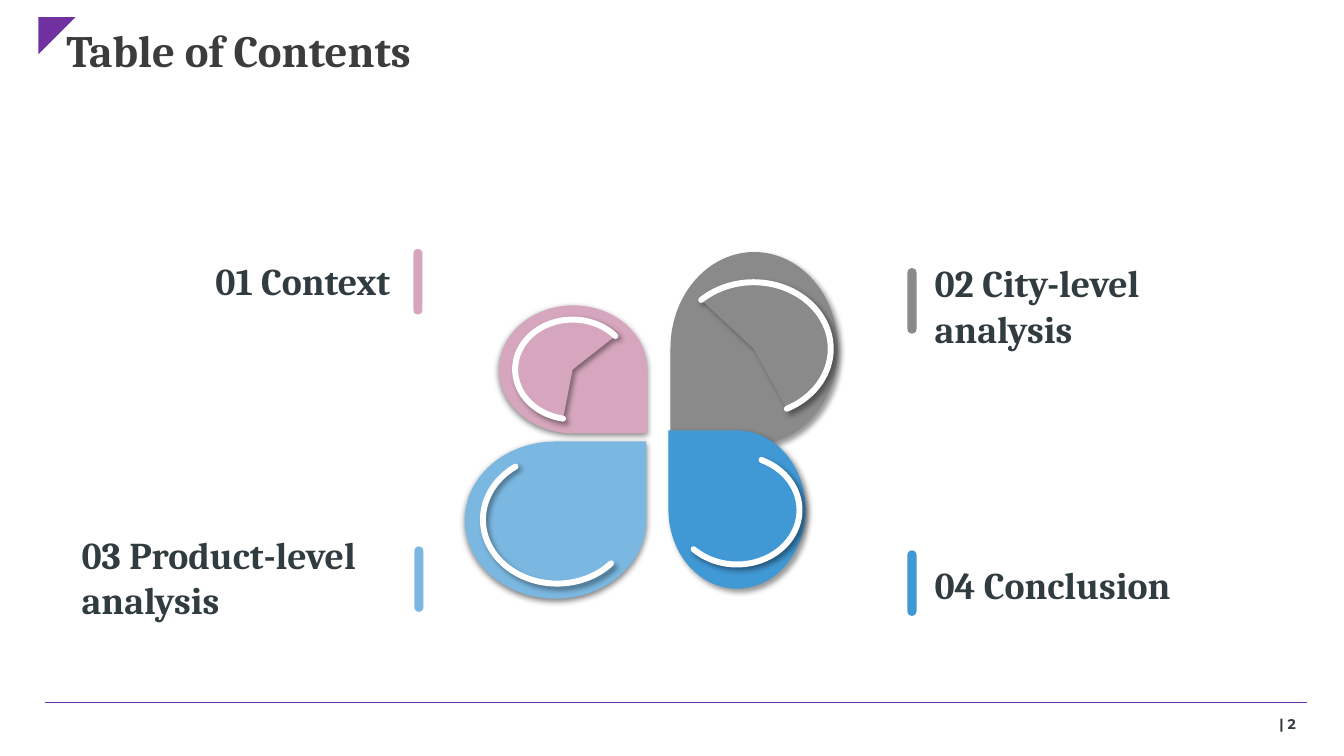
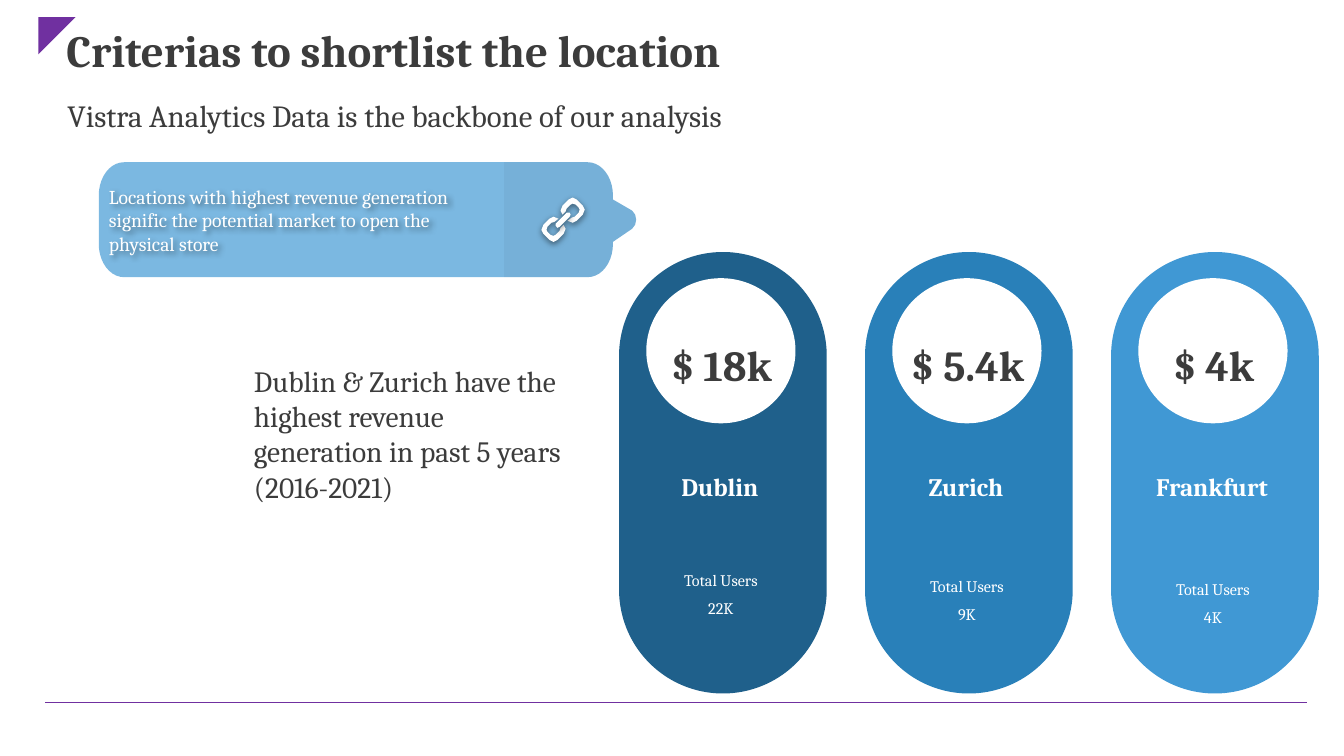
import math

from pptx import Presentation
from pptx import util as u
from pptx.dml.color import RGBColor
from pptx.enum import shapes, text
from pptx.oxml.ns import qn
from lxml import etree

PX = 9144  # 100 px to the inch
PURPLE, INK, SLATE, WHITE = "7030A0", "3C3C3C", "313C41", "FFFFFF"
PINK, GREY, SKY, BLUE = "D5A6BD", "8A8A8A", "7BB8E1", "4098D4"
SOFT = (40, 4, 3, 45)  # shadow: opacity %, blur pt, distance pt, angle
BELOW = (50, 4.5, 1.5, 90)
G = shapes.MSO_SHAPE
LEFT, CENTER, RIGHT = text.PP_ALIGN.LEFT, text.PP_ALIGN.CENTER, text.PP_ALIGN.RIGHT
TOP, MIDDLE, BOTTOM = text.MSO_ANCHOR.TOP, text.MSO_ANCHOR.MIDDLE, text.MSO_ANCHOR.BOTTOM


def color(value):
    return RGBColor.from_string(value)


def px(*values):
    return [round(v * PX) for v in values]


class Deck:
    def __init__(self):
        self.prs = Presentation()
        self.prs.slide_width, self.prs.slide_height = px(1333, 750)
        self.s = None

    def slide(self, title):
        """Start a slide with the corner mark, the footer rule and a title."""
        self.s = self.prs.slides.add_slide(self.prs.slide_layouts[6])
        self.shape(G.RIGHT_TRIANGLE, 38, 17, 37, 37, PURPLE, rotation=90)
        rule = self.s.shapes.add_connector(
            shapes.MSO_CONNECTOR.STRAIGHT, *px(45, 697, 1296, 697))
        rule.line.color.rgb = color(PURPLE)
        rule.line.width = u.Pt(0.75)
        etree.SubElement(rule.element.spPr, qn("a:effectLst"))
        self.text(title, 56, 28, 1083, 50, 32, INK, bold=True,
                  anchor=MIDDLE, spacing=0.9)

    def paint(self, sp, fill, shadow=None, alpha=None):
        sp.line.fill.background()
        if fill:
            sp.fill.solid()
            sp.fill.fore_color.rgb = color(fill)
        else:
            sp.fill.background()
        if alpha:
            rgb = sp.element.spPr.find(qn("a:solidFill"))[0]
            etree.SubElement(rgb, qn("a:alpha"), val=str(alpha * 1000))
        self.shadow(sp, shadow)
        return sp

    def shadow(self, sp, shadow):
        sp.shadow.inherit = False
        if shadow:
            opacity, blur, dist, angle = shadow
            effects = sp.element.spPr.find(qn("a:effectLst"))
            outer = etree.SubElement(
                effects, qn("a:outerShdw"), blurRad=str(u.Pt(blur)),
                dist=str(u.Pt(dist)), dir=str(angle * 60000),
                algn="bl", rotWithShape="0")
            rgb = etree.SubElement(outer, qn("a:srgbClr"), val="000000")
            etree.SubElement(rgb, qn("a:alpha"), val=str(opacity * 1000))

    def shape(self, kind, x, y, w, h, fill, rotation=0, shadow=None):
        """Place a shape; the box is the one seen after rotation."""
        if rotation % 180:
            x, y, w, h = x + (w - h) / 2, y + (h - w) / 2, h, w
        sp = self.s.shapes.add_shape(kind, *px(x, y, w, h))
        sp.rotation = rotation
        return self.paint(sp, fill, shadow)

    def capsule(self, x, y, w, h, fill):
        self.shape(G.ROUNDED_RECTANGLE, x, y, w, h, fill).adjustments[0] = 0.5

    def arc(self, x, y, w, h, start, end, fill):
        """White arc running clockwise between two angles in degrees."""
        sp = self.shape(G.ARC, x, y, w, h, fill, shadow=SOFT)
        sp.adjustments[0], sp.adjustments[1] = start * 0.6, end * 0.6
        sp.line.color.rgb = color(WHITE)
        sp.line.width = u.Pt(4.25)
        sp.element.spPr.find(qn("a:ln")).set("cap", "rnd")

    def outline(self, points, fill, **style):
        first, *rest = [px(*pt) for pt in points]
        builder = self.s.shapes.build_freeform(*first, scale=1.0)
        builder.add_line_segments(rest, close=True)
        return self.paint(builder.convert_to_shape(), fill, **style)

    def text(self, lines, x, y, w, h, size, fill, bold=False, font="Cambria",
             align=LEFT, anchor=TOP, spacing=None, inset=(10, 5)):
        box = self.s.shapes.add_textbox(*px(x, y, w, h))
        tf = box.text_frame
        tf.word_wrap = True
        tf.vertical_anchor = anchor
        tf.margin_left, tf.margin_top = tf.margin_right, tf.margin_bottom = px(*inset)
        tf.text = lines
        for p in tf.paragraphs:
            p.alignment = align
            if spacing:
                p.line_spacing = spacing
            p.font.size, p.font.bold, p.font.name = u.Pt(size), bold, font
            p.font.color.rgb = color(fill)
        return box


def corner(cx, cy, rx, ry, start):
    """Points of a quarter ellipse, clockwise from the start angle."""
    angles = [math.radians(start + step * 9) for step in range(11)]
    return [(cx + rx * math.cos(a), cy + ry * math.sin(a)) for a in angles]


def callout(left, rounded):
    """Outline of the callout with its blunt tip on the right."""
    top, bottom, right, rx, ry = 161, 275, 608, 25, 33
    tip = [(right, 198), (627, 209), (630, 213), (631, 218), (630, 223),
           (627, 227), (right, 240)]
    if rounded:
        left_side = (corner(left + rx, bottom - ry, rx, ry, 90)
                     + corner(left + rx, top + ry, rx, ry, 180))
    else:
        left_side = [(left, bottom), (left, top)]
    return (corner(right - rx, top + ry, rx, ry, 270) + tip
            + corner(right - rx, bottom - ry, rx, ry, 0) + left_side)


def contents(deck):
    deck.slide("Table of Contents")
    deck.text("| 2", 1056, 705, 239, 27, 10, SLATE, bold=True,
              font="Montserrat", align=RIGHT)

    # petal box, rotation, shadow, arc box, arc angles, colour, arc fill
    petals = [
        ((665, 250, 166, 191), 180, SOFT, (671, 280, 153, 132), (223, 61), GREY, GREY),
        ((663, 427, 136, 157), 270, SOFT, (669, 452, 124, 108), (296, 138), BLUE, BLUE),
        ((495, 303, 147, 127), 90, BELOW, (511, 317, 114, 99), (101, 322), PINK, PINK),
        ((461, 438, 180, 156), 0, BELOW, (479, 452, 147, 127), (39, 232), SKY, None),
    ]
    for box, rotation, shadow, arc_box, angles, fill, arc_fill in petals:
        deck.shape(G.TEAR, *box, fill, rotation, shadow)
        deck.arc(*arc_box, *angles, arc_fill)

    # label, text box left, top and width, alignment, bar left and top, colour
    entries = [
        ("01 Context", 116, 226, 284, RIGHT, 410, 247, PINK),
        ("02 City-level analysis", 914, 251, 330, LEFT, 900, 266, GREY),
        ("03 Product-level analysis", 68, 520, 337, LEFT, 411, 542, SKY),
        ("04 Conclusion", 914, 528, 284, LEFT, 900, 546, BLUE),
    ]
    for label, x, y, w, align, bar_x, bar_y, fill in entries:
        deck.text(label, x, y, w, 104, 27, SLATE, bold=True, align=align,
                  anchor=MIDDLE, inset=(13, 7))
        deck.capsule(bar_x, bar_y, 9, 65, fill)


def link_icon(deck):
    ring = [(568, 196), (572, 198), (578, 204), (580, 208), (578, 213),
            (572, 219), (568, 221), (563, 219), (567, 216), (570, 215),
            (574, 211), (575, 208), (574, 206), (571, 203), (568, 202),
            (566, 203), (562, 207), (561, 210), (558, 213), (556, 209),
            (558, 204), (564, 198)]
    half_turn = [(1117 - x, 436 - y) for x, y in ring]
    bar = [(563, 211), (565, 211), (566, 213), (565, 215), (555, 225),
           (553, 226), (551, 224), (551, 222), (562, 211)]
    for points in (ring, half_turn, bar):
        deck.outline(points, WHITE, shadow=BELOW)


def criteria(deck):
    deck.slide("Criterias to shortlist the location")
    deck.text("Vistra Analytics Data is the backbone of our analysis",
              57, 95, 1082, 55, 22, INK, spacing=0.9)

    deck.outline(callout(98, True), SKY)
    deck.outline(callout(500, False), "222A35", alpha=5)
    reason = deck.text(
        "Locations with highest revenue generation signific the potential "
        "market to open the physical store",
        101, 161, 399, 114, 14, WHITE, anchor=MIDDLE, inset=(7, 3))
    deck.shadow(reason, SOFT)
    link_icon(deck)

    deck.text("Dublin & Zurich have the highest revenue generation in past "
              "5 years (2016-2021)", 242, 350, 328, 162, 21, INK, inset=(10, 10))

    cities = [("Dublin", "$ 18k", "22K", 555, "1F608B"),
              ("Zurich", "$ 5.4k", "9K", 561, "2980B9"),
              ("Frankfurt", "$ 4k", "4K", 564, BLUE)]
    for i, (city, revenue, users, users_y, fill) in enumerate(cities):
        x = 614 + i * 244
        deck.capsule(x, 250, 206, 438, fill)
        deck.shape(G.OVAL, x + 27, 276, 148, 144, WHITE)
        deck.text(revenue, x + 40, 311, 123, 55, 30.5, INK, bold=True,
                  align=CENTER, spacing=1.46, inset=(4, 2))
        deck.text(city, x + 14, 473, 172, 29, 18, WHITE, bold=True,
                  align=CENTER, anchor=BOTTOM, inset=(7, 4))
        deck.text(f"Total Users\n{users}", x + 20, users_y, 162, 75, 11.5, WHITE,
                  align=CENTER, spacing=1.46, inset=(4, 2))


def main():
    deck = Deck()
    contents(deck)
    criteria(deck)
    deck.prs.save("out.pptx")


if __name__ == "__main__":
    main()
